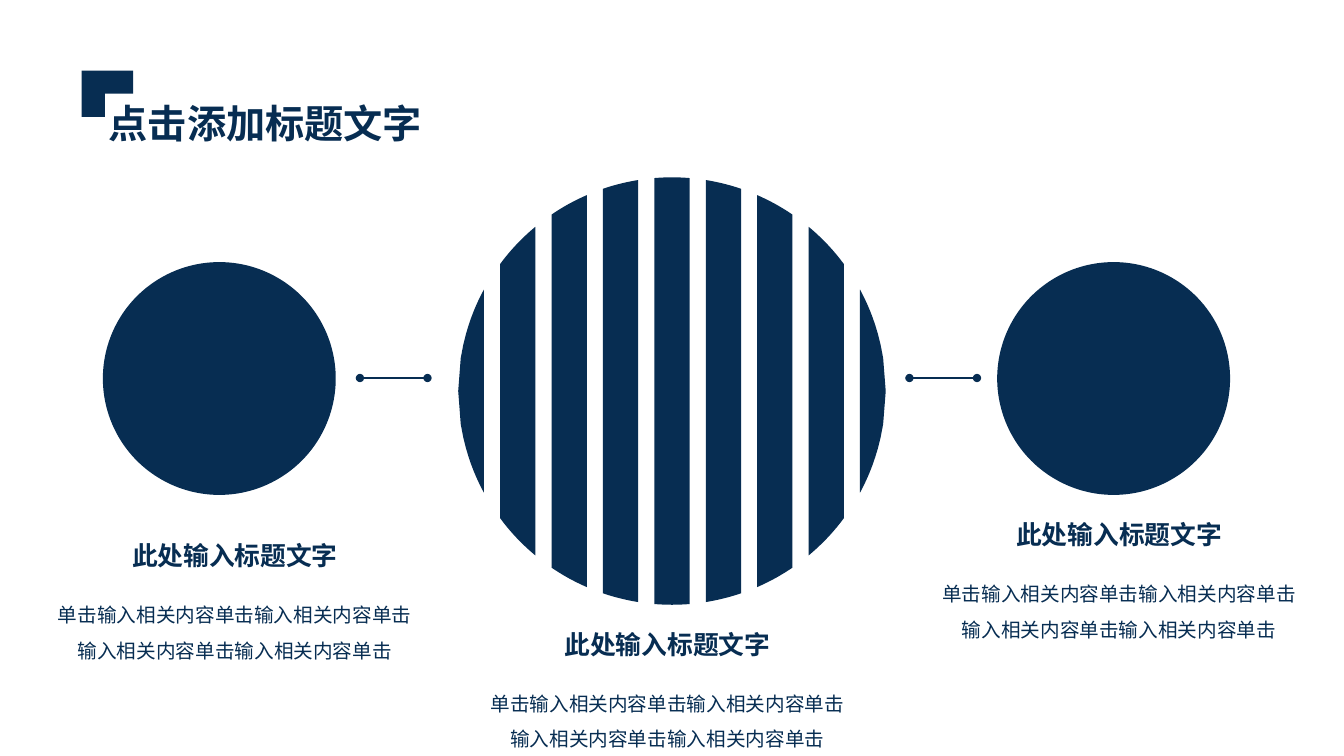
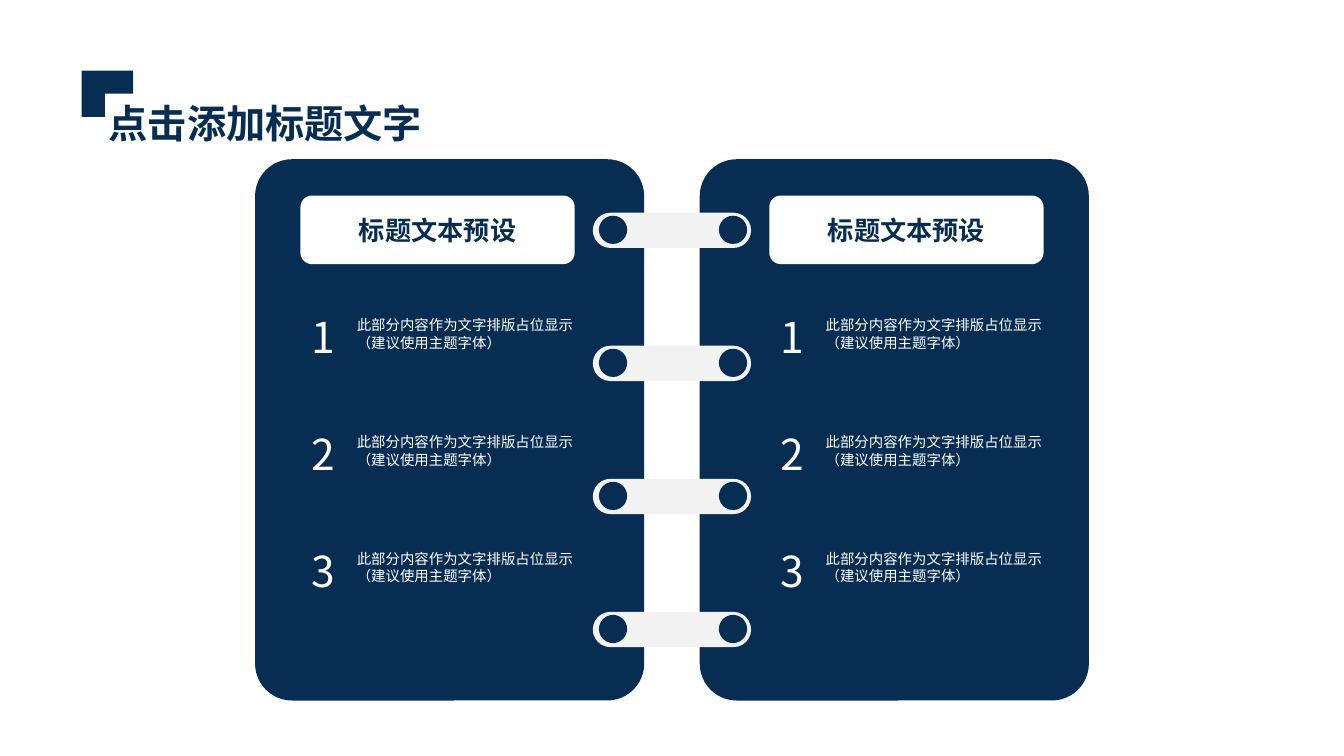
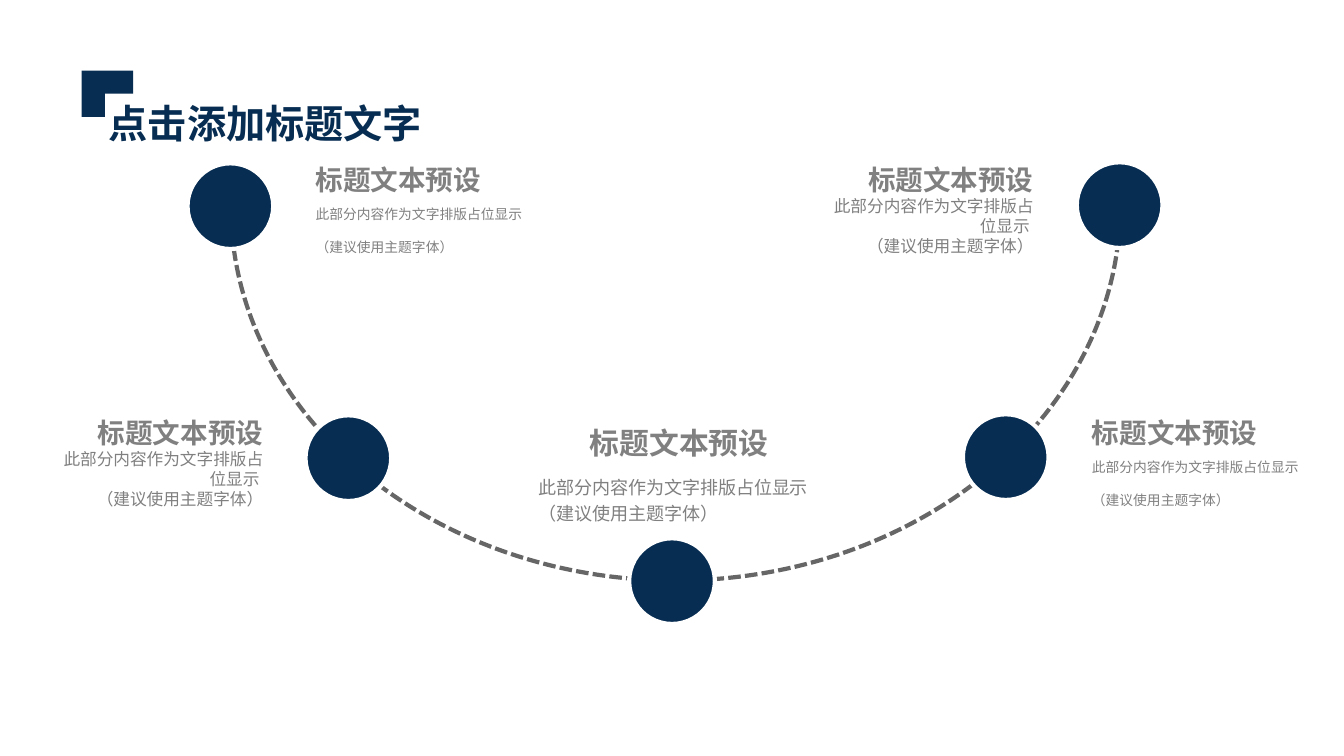
from math import sqrt

from lxml import etree
from pptx import Presentation
from pptx.dml.color import RGBColor
from pptx.enum.dml import MSO_LINE
from pptx.enum.shapes import MSO_CONNECTOR, MSO_SHAPE
from pptx.enum.text import MSO_ANCHOR, PP_ALIGN
from pptx.oxml.ns import qn
from pptx.util import Inches, Pt

NAVY = RGBColor(0x07, 0x2D, 0x52)
WHITE = RGBColor(0xFF, 0xFF, 0xFF)
PALE = RGBColor(0xF2, 0xF2, 0xF2)
GREY = RGBColor(0x80, 0x80, 0x80)
DARK_GREY = RGBColor(0x66, 0x66, 0x66)
FONT = "Noto Sans CJK SC"

LEFT, CENTER, RIGHT = PP_ALIGN.LEFT, PP_ALIGN.CENTER, PP_ALIGN.RIGHT
TOP, MIDDLE, BOTTOM = MSO_ANCHOR.TOP, MSO_ANCHOR.MIDDLE, MSO_ANCHOR.BOTTOM
OVAL, ROUNDED, ARC = MSO_SHAPE.OVAL, MSO_SHAPE.ROUNDED_RECTANGLE, MSO_SHAPE.ARC
STRAIGHT, DASH = MSO_CONNECTOR.STRAIGHT, MSO_LINE.SQUARE_DOT

WIDTH, HEIGHT = 13.33, 7.5
MID_X = WIDTH / 2


def add_solid(page, color, places, kind=None, radius=None):
    """Fill a preset at (left, top, width, height), or an outline of points."""
    if kind is None:
        corners = [(Inches(x), Inches(y)) for x, y in places]
        builder = page.shapes.build_freeform(*corners[0])
        builder.add_line_segments(corners[1:], close=True)
        shape = builder.convert_to_shape()
    else:
        shape = page.shapes.add_shape(kind, *[Inches(length) for length in places])
    shape.shadow.inherit = False
    shape.fill.solid()
    shape.fill.fore_color.rgb = color
    shape.line.fill.background()
    if radius is not None:
        shape.adjustments[0] = radius
    return shape


def add_text(page, at, paragraphs, size, color, bold=False, align=LEFT,
             anchor=TOP, insets=(0.1, 0.05, 0.1, 0.05), spacing=1.0, after=0):
    """Add a text box; a newline inside a paragraph becomes a line break."""
    box = page.shapes.add_textbox(*[Inches(length) for length in at])
    frame = box.text_frame
    frame.word_wrap = True
    frame.vertical_anchor = anchor
    (frame.margin_left, frame.margin_top,
     frame.margin_right, frame.margin_bottom) = [Inches(i) for i in insets]
    for number, text in enumerate(paragraphs):
        para = frame.add_paragraph() if number else frame.paragraphs[0]
        para.alignment = align
        para.line_spacing = spacing
        para.space_after = Pt(after)
        for row, line in enumerate(text.split("\n")):
            if row:
                para.add_line_break()
            span = para.add_run()
            span.text = line
            span.font.size = Pt(size)
            span.font.bold = bold
            span.font.name = FONT
            span.font.color.rgb = color
            east_asian = etree.SubElement(span.font._element, qn("a:ea"))
            east_asian.set("typeface", FONT)


deck = Presentation()
deck.slide_width, deck.slide_height = Inches(WIDTH), Inches(HEIGHT)

# Shared header: corner mark and title
MARK = [(0.81, 0.7), (1.32, 0.7), (1.32, 0.93), (1.04, 0.93), (1.04, 1.16), (0.81, 1.16)]
pages = []
for _ in range(3):
    page = deck.slides.add_slide(deck.slide_layouts[6])
    add_solid(page, NAVY, MARK)
    add_text(page, (0.98, 0.94, 3.49, 0.57), ["点击添加标题文字"], 28, NAVY, True)
    pages.append(page)
circles_page, notebook_page, curve_page = pages

# Slide 1: striped disc, cut from a circle by evenly spaced bars
RADIUS, DISC_Y = 2.12, 3.88
PITCH, BAR, STEPS = 0.51, 0.35, 10
for stripe in range(-4, 5):
    start = max(stripe * PITCH - BAR / 2, -RADIUS)
    end = min(stripe * PITCH + BAR / 2, RADIUS)
    offsets = [start + (end - start) * step / STEPS for step in range(STEPS + 1)]
    arch = [(x, sqrt(max(RADIUS ** 2 - x ** 2, 0))) for x in offsets]
    outline = arch + [(x, -y) for x, y in reversed(arch)]
    add_solid(circles_page, NAVY, [(MID_X + x, DISC_Y - y) for x, y in outline])

# Side discs and the links to the striped disc
for disc_left, link_left in ((1.02, 3.57), (9.89, 9.02)):
    add_solid(circles_page, NAVY, (disc_left, 2.6, 2.31, 2.31), OVAL)
    link = circles_page.shapes.add_connector(
        STRAIGHT, Inches(link_left), Inches(HEIGHT / 2),
        Inches(link_left + 0.67), Inches(HEIGHT / 2))
    link.line.color.rgb = NAVY
    link.line.width = Pt(1)
    stroke = link._element.spPr.find(qn("a:ln"))
    for end in ("a:headEnd", "a:tailEnd"):
        etree.SubElement(stroke, qn(end)).set("type", "oval")
    etree.SubElement(link._element.spPr, qn("a:effectLst"))

# Captions
for left, top in ((0.43, 5.31), (4.72, 6.19), (9.2, 5.1)):
    add_text(circles_page, (left, top, 3.8, 0.41), ["此处输入标题文字"],
             18.4, NAVY, True, CENTER)
    add_text(circles_page, (left, top + 0.51, 3.8, 0.77),
             ["单击输入相关内容" * 4 + "单击"], 14, NAVY, align=CENTER, spacing=1.5)

# Slide 2: notebook sheets
for left in (2.53, 6.94):
    add_solid(notebook_page, NAVY, (left, 1.58, 3.86, 5.37), ROUNDED, 0.095)

# Binder rings
for ring in range(4):
    top = 2.11 + ring * 1.32
    add_solid(notebook_page, PALE, (5.88, top, 1.57, 0.35), ROUNDED, 0.5)
    for left in (5.94, 7.13):
        add_solid(notebook_page, NAVY, (left, top + 0.03, 0.28, 0.28), OVAL)

# Heading and numbered rows of each sheet
for left in (2.98, 7.63):
    add_solid(notebook_page, WHITE, (left, 1.94, 2.72, 0.68), ROUNDED)
    add_text(notebook_page, (left, 1.94, 2.72, 0.68), ["标题文本预设"],
             18.7, NAVY, True, CENTER, MIDDLE)
    for row in range(3):
        top = 3.07 + row * 1.16
        add_text(notebook_page, (left, top, 0.46, 0.54), [str(row + 1)], 30.4,
                 WHITE, align=CENTER, anchor=MIDDLE, insets=(0, 0.05, 0, 0.05))
        add_text(notebook_page, (left + 0.46, top + 0.02, 2.38, 0.5),
                 ["此部分内容作为文字排版占位显示\n（建议使用主题字体）"], 10.3, WHITE)

# Slide 3: dashed curve in four arcs, angles in degrees clockwise from the right
for start, end in ((0, 37.5), (38.5, 89.4), (90.5, 142), (144.1, 180)):
    arc = add_solid(curve_page, WHITE, (2.29, -1.67, 8.82, 7.43), ARC)
    arc.fill.background()
    arc.line.color.rgb = DARK_GREY
    arc.line.width = Pt(3)
    arc.line.dash_style = DASH
    arc.adjustments[0] = start * 0.6
    arc.adjustments[1] = end * 0.6

# Stops on the curve
for left, top in ((1.86, 1.62), (3.03, 4.12), (6.24, 5.34), (9.55, 4.11), (10.68, 1.61)):
    stop = add_solid(curve_page, NAVY, (left, top, 0.85, 0.85), OVAL)
    stop.line.color.rgb = WHITE
    stop.line.width = Pt(3)

# Middle caption
add_text(curve_page, (5.34, 4.15, 2.79, 0.42), ["标题文本预设"], 21.3, GREY,
         True, CENTER, BOTTOM, (0, 0, 0, 0))
add_text(curve_page, (5.34, 4.58, 2.79, 0.76),
         ["此部分内容作为文字排版占位显示\n（建议使用主题字体）"], 12.9, GREY,
         insets=(0, 0.1, 0, 0), spacing=1.2)

# Captions to the right of a stop
for left, top in ((2.71, 1.62), (10.41, 4.13)):
    add_text(curve_page, (left, top, 2.5, 0.32), ["标题文本预设"], 19.7, GREY,
             True, LEFT, BOTTOM, (0.42, 0, 0, 0))
    add_text(curve_page, (left, top + 0.32, 2.5, 0.61),
             ["此部分内容作为文字排版占位显示", "（建议使用主题字体）"], 9.8, GREY,
             insets=(0.42, 0.1, 0, 0), after=12)

# Captions to the left of a stop
for left, top in ((0.56, 4.13), (8.2, 1.62)):
    add_text(curve_page, (left, top, 2.47, 0.32), ["标题文本预设"], 19.7, GREY,
             True, RIGHT, MIDDLE, (0, 0, 0.42, 0))
    add_text(curve_page, (left, top + 0.32, 2.47, 0.61),
             ["此部分内容作为文字排版占位显示 \n（建议使用主题字体）"], 11.9, GREY,
             align=RIGHT, anchor=MIDDLE, insets=(0, 0, 0.42, 0))

deck.save("out.pptx")
